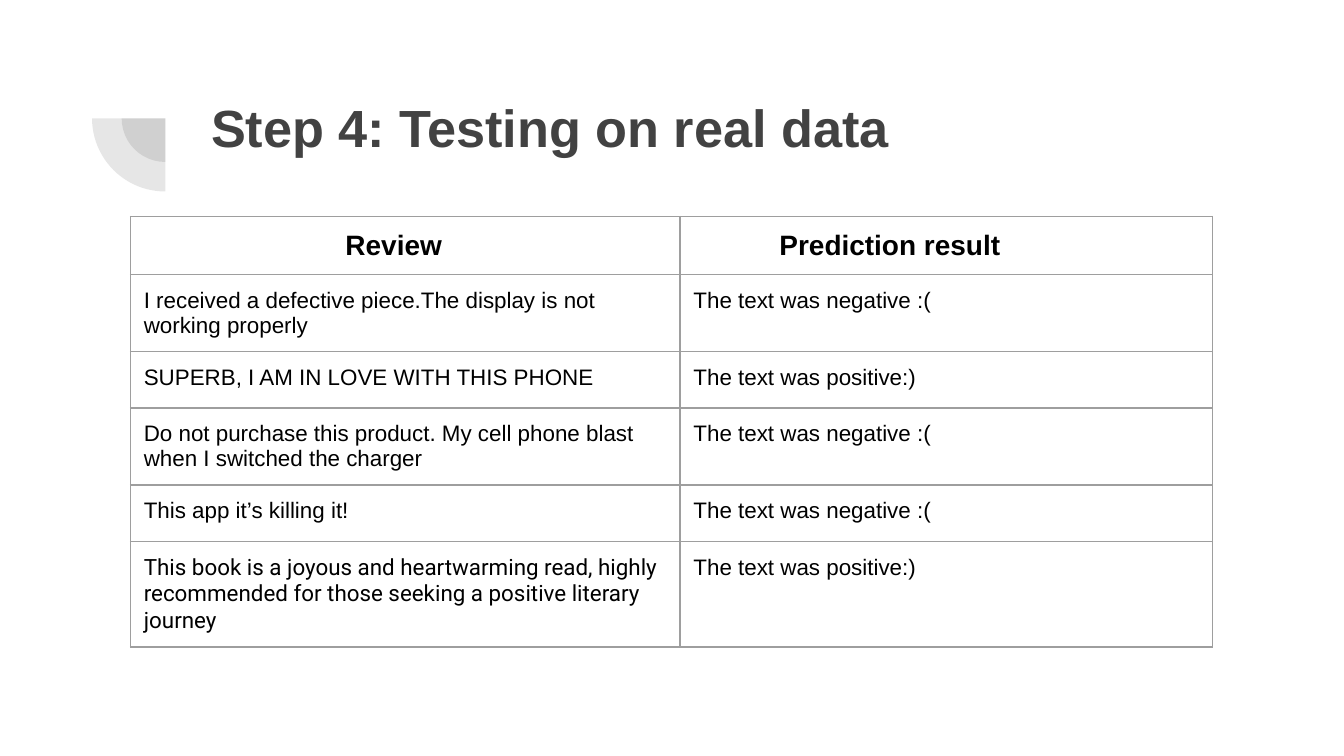
import pptx
import pptx.util
import pptx.dml.color
import pptx.enum.shapes
import pptx.enum.text
import pptx.oxml
from dataclasses import dataclass
from pptx.util import Inches

A_NS = "http://schemas.openxmlformats.org/drawingml/2006/main"


@dataclass(frozen=True)
class Theme:
    ink: str = "424242"
    text: str = "000000"
    border: str = "9E9E9E"
    font: str = "Arial"
    accent_font: str = "Roboto"
    title_size: int = 28
    header_size: int = 15
    body_size: int = 12
    border_width: float = 0.75
    pie_opacity: int = 13


THEME = Theme()
NEGATIVE = "The text was negative :("
POSITIVE = "The text was positive:)"
HEADERS = (("Review", 1.6), ("Prediction result", 0.74))
REVIEWS = (
    ("I received a defective piece.The display is not working properly", NEGATIVE, THEME.font),
    ("SUPERB, I AM IN LOVE WITH THIS PHONE", POSITIVE, THEME.font),
    ("Do not purchase this product. My cell phone blast when I switched the charger",
     NEGATIVE, THEME.font),
    ("This app it’s killing it!", NEGATIVE, THEME.font),
    ("This book is a joyous and heartwarming read, highly recommended for those "
     "seeking a positive literary journey", POSITIVE, THEME.accent_font),
)


def apply_format(target, values):
    for name, value in values.items():
        setattr(target, name, value)


def write_text(frame, text, size, color, bold=False, font=THEME.font):
    paragraph = frame.paragraphs[0]
    paragraph.alignment = pptx.enum.text.PP_ALIGN.LEFT
    run = paragraph.add_run()
    run.text = text
    apply_format(run.font, {"name": font, "size": pptx.util.Pt(size), "bold": bold})
    run.font.color.rgb = pptx.dml.color.RGBColor.from_string(color)


def set_margins(target, left=0.1):
    apply_format(target, {"margin_left": Inches(left), "margin_right": Inches(0.1),
                          "margin_top": Inches(0.1), "margin_bottom": Inches(0.1),
                          "vertical_anchor": pptx.enum.text.MSO_ANCHOR.TOP})


def add_title(slide, text):
    title = slide.shapes.title
    apply_format(title, {"left": Inches(1.47), "top": Inches(0.61),
                         "width": Inches(7.69), "height": Inches(1.09)})
    apply_format(title.text_frame, {"auto_size": pptx.enum.text.MSO_AUTO_SIZE.NONE,
                                    "word_wrap": True})
    set_margins(title.text_frame)
    write_text(title.text_frame, text, THEME.title_size, THEME.ink, bold=True)


def add_quarter_pie(slide, center_x, center_y, diameter):
    pie = slide.shapes.add_shape(
        pptx.enum.shapes.MSO_SHAPE.PIE,
        Inches(center_x - diameter / 2), Inches(center_y - diameter / 2),
        Inches(diameter), Inches(diameter))
    pie.adjustments[0] = 108
    pie.adjustments[1] = 162
    pie.rotation = 270
    pie.shadow.inherit = False
    pie.line.fill.background()
    pie.fill.solid()
    pie.fill.fore_color.rgb = pptx.dml.color.RGBColor.from_string(THEME.ink)
    color = pie.fill._xPr.find(f".//{{{A_NS}}}srgbClr")
    color.append(pptx.oxml.parse_xml(
        f'<a:alpha xmlns:a="{A_NS}" val="{THEME.pie_opacity * 1000}"/>'))


def outline_cell(cell):
    properties = cell._tc.get_or_add_tcPr()
    width = pptx.util.Pt(THEME.border_width)
    for side in ("lnL", "lnR", "lnT", "lnB"):
        properties.append(pptx.oxml.parse_xml(
            f'<a:{side} xmlns:a="{A_NS}" w="{width}"><a:solidFill>'
            f'<a:srgbClr val="{THEME.border}"/></a:solidFill></a:{side}>'))
    cell.fill.background()


def fill_cell(cell, text, size, indent=0.1, bold=False, font=THEME.font):
    outline_cell(cell)
    set_margins(cell, indent)
    write_text(cell.text_frame, text, size, THEME.text, bold, font)


def add_review_table(slide):
    widths = (4.09, 3.96)
    row_count = len(REVIEWS) + 1
    table = slide.shapes.add_table(
        row_count, len(widths), Inches(0.97), Inches(1.61),
        Inches(sum(widths)), Inches(0.42 * row_count)).table
    apply_format(table, {"first_row": False, "horz_banding": False})
    for column, width in zip(table.columns, widths):
        column.width = Inches(width)
    for column, (header, indent) in enumerate(HEADERS):
        fill_cell(table.cell(0, column), header, THEME.header_size, indent, bold=True)
    for row, (review, prediction, review_font) in enumerate(REVIEWS, start=1):
        fill_cell(table.cell(row, 0), review, THEME.body_size, font=review_font)
        fill_cell(table.cell(row, 1), prediction, THEME.body_size)


def main():
    deck = pptx.Presentation()
    slide_width = Inches(10)
    apply_format(deck, {"slide_width": slide_width, "slide_height": slide_width * 9 // 16})
    slide = deck.slides.add_slide(deck.slide_layouts[5])
    for diameter in (0.65, 1.09):
        add_quarter_pie(slide, 1.23, 0.88, diameter)
    add_title(slide, "Step 4: Testing on real data")
    add_review_table(slide)
    deck.save("out.pptx")


if __name__ == "__main__":
    main()
